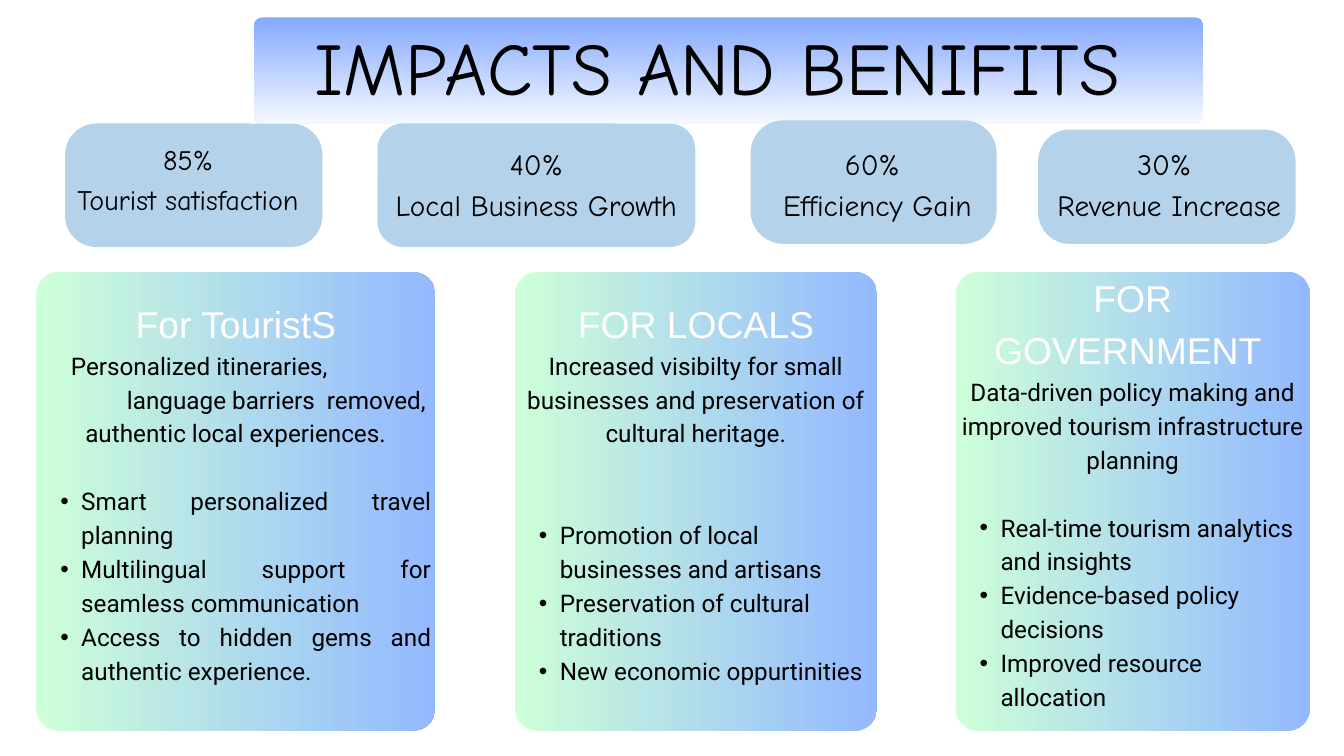
from pptx import Presentation
from pptx.dml.color import RGBColor
from pptx.enum.shapes import MSO_SHAPE
from pptx.enum.text import MSO_ANCHOR, PP_ALIGN
from pptx.oxml.ns import qn
from pptx.util import Cm, Pt
from lxml.etree import SubElement

COLOURS = {
    "black": "000000",
    "white": "FFFFFF",
    "mint": "CDFFD8",
    "periwinkle": "94B9FF",
    "cornflower": "84A9FF",
    "mist": "F5F8FF",
    "sky": "B4D3EB",
}
HEADING = {"name": "Arial", "size": Pt(40), "colour": "white"}
BODY = {"name": "Roboto", "size": Pt(26), "colour": "black"}
BODY_LINE = 36.4

STATISTICS = [
    ("85%", "Tourist satisfaction", 30.2, 42.2, (2.46, 4.67, 9.73, 4.67), 1.19, (2.03, 5.18, 10.16, 3)),
    ("40%", "Local Business Growth", 31.4, 43.9, (14.27, 4.67, 12.01, 4.67), 0.97, (14.27, 5.31, 12.01, 3)),
    ("60% ", "Efficiency Gain", 31.5, 44, (28.37, 4.55, 9.3, 4.67), 1.24, (28.65, 5.31, 9.02, 3)),
    ("30% ", "Revenue Increase", 31.5, 44.1, (39.24, 4.9, 9.73, 4.32), 1.19, (39.85, 5.31, 8.69, 3)),
]
CENTRED = {"alignment": PP_ALIGN.CENTER}
STEPPED = {"alignment": PP_ALIGN.LEFT, "margin": 3.28, "indent": -2.12}
CARDS = [
    {
        "left": 1.37, "width": 15.09, "heading": "For TouristS",
        "summary": [
            ("Personalized itineraries,\vlanguage barriers  removed,", STEPPED),
            ("authentic local experiences.", CENTRED),
        ],
        "gap": 1, "alignment": PP_ALIGN.JUSTIFY,
        "points": [
            "Smart personalized travel planning",
            "Multilingual support for seamless communication",
            "Access to hidden gems and authentic experience.",
        ],
    },
    {
        "left": 19.46, "width": 13.69, "heading": "FOR LOCALS",
        "summary": [
            ("Increased visibilty for small businesses and preservation of cultural heritage.", CENTRED),
        ],
        "gap": 2, "alignment": PP_ALIGN.LEFT,
        "points": [
            "Promotion of local businesses and artisans",
            "Preservation of cultural traditions",
            "New economic oppurtinities",
        ],
    },
    {
        "left": 36.12, "width": 13.39, "heading": "FOR GOVERNMENT ",
        "summary": [
            ("Data-driven policy making and improved tourism infrastructure planning", CENTRED),
        ],
        "gap": 1, "alignment": PP_ALIGN.LEFT,
        "points": [
            "Real-time tourism analytics and insights",
            "Evidence-based policy decisions",
            "Improved resource allocation",
        ],
    },
]


class SlideWriter:
    """Hold the colours and the current slide, and draw each kind of element."""

    def __init__(self, page, colours):
        self.page = page
        self.colours = colours

    def colour(self, name):
        return RGBColor.from_string(self.colours[name])

    def panel(self, area, radius, fills, angle=0):
        left, top, width, height = area
        shape = self.page.shapes.add_shape(MSO_SHAPE.ROUNDED_RECTANGLE, *map(Cm, area))
        shape.adjustments[0] = radius / min(width, height)
        shape.shadow.inherit = False
        shape.line.fill.background()
        if len(fills) == 1:
            shape.fill.solid()
            shape.fill.fore_color.rgb = self.colour(fills[0])
            return
        shape.fill.gradient()
        shape.fill.gradient_angle = angle
        for position, (stop, name) in enumerate(zip(shape.fill.gradient_stops, fills)):
            stop.position = position
            stop.color.rgb = self.colour(name)

    def text_box(self, area, inset=0, anchor=MSO_ANCHOR.TOP):
        frame = self.page.shapes.add_textbox(*map(Cm, area)).text_frame
        formats = {"word_wrap": True, "vertical_anchor": anchor}
        for side in ("left", "top", "right", "bottom"):
            formats[f"margin_{side}"] = Cm(inset)
        for key, value in formats.items():
            setattr(frame, key, value)
        return frame

    def paragraph(self, frame, text, font, line, layout=CENTRED, before=0, bullet=False):
        para = frame.paragraphs[0]
        if para.runs:
            para = frame.add_paragraph()
        para.text = text
        formats = {"alignment": layout["alignment"], "line_spacing": Pt(line)}
        if before:
            formats["space_before"] = Pt(before)
        for key, value in formats.items():
            setattr(para, key, value)
        properties = para._p.get_or_add_pPr()
        if "margin" in layout:
            properties.set("marL", str(Cm(layout["margin"])))
            properties.set("indent", str(Cm(layout["indent"])))
        if bullet:
            SubElement(properties, qn("a:buFont")).set("typeface", "Arial")
            SubElement(properties, qn("a:buChar")).set("char", "•")
        for span in para.runs:
            for key in ("name", "size"):
                setattr(span.font, key, font[key])
            span.font.color.rgb = self.colour(font["colour"])

    def title(self, text):
        self.panel((9.6, 0.66, 35.89, 4.01), 0.31, ["cornflower", "mist"], 270)
        frame = self.text_box((9.98, 0.23, 34.29, 3.78))
        font = {"name": "Comic Neue", "size": Pt(79.4), "colour": "black"}
        self.paragraph(frame, text, font, 111.2)

    def statistic(self, value, label, size, line, area, radius, text_area):
        self.panel(area, radius, ["sky"])
        frame = self.text_box(text_area)
        font = {"name": "Comic Neue", "size": Pt(size), "colour": "black"}
        for text in (value, label):
            self.paragraph(frame, text, font, line)

    def card(self, left, width, heading, summary, gap, alignment, points):
        self.panel((left, 10.29, width, 17.33), 0.85, ["mint", "periwinkle"])
        frame = self.text_box((left, 9.4, width, 18.22), 0.15, MSO_ANCHOR.MIDDLE)
        self.paragraph(frame, heading, HEADING, 56)
        for text, layout in summary:
            self.paragraph(frame, text, BODY, BODY_LINE, layout)
        layout = {"alignment": alignment, "margin": 1.55, "indent": -0.79}
        for index, text in enumerate(points):
            before = 0 if index else gap * BODY_LINE
            self.paragraph(frame, text, BODY, BODY_LINE, layout, before, True)


def main():
    deck = Presentation()
    deck.slide_width, deck.slide_height = Cm(50.8), Cm(28.58)
    writer = SlideWriter(deck.slides.add_slide(deck.slide_layouts[6]), COLOURS)
    for card in CARDS:
        writer.card(**card)
    writer.title("IMPACTS AND BENIFITS")
    for statistic in STATISTICS:
        writer.statistic(*statistic)
    deck.save("out.pptx")


if __name__ == "__main__":
    main()
